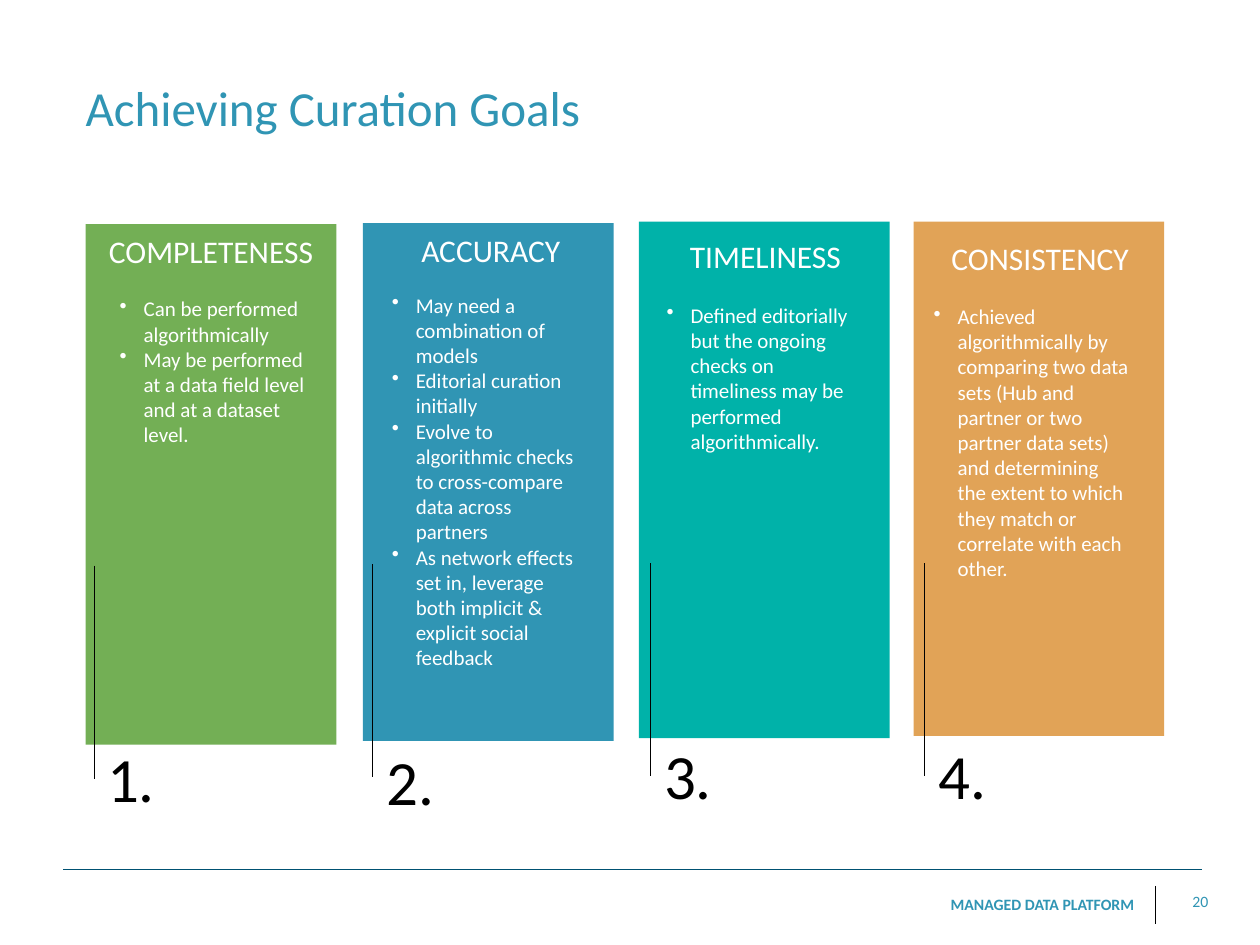
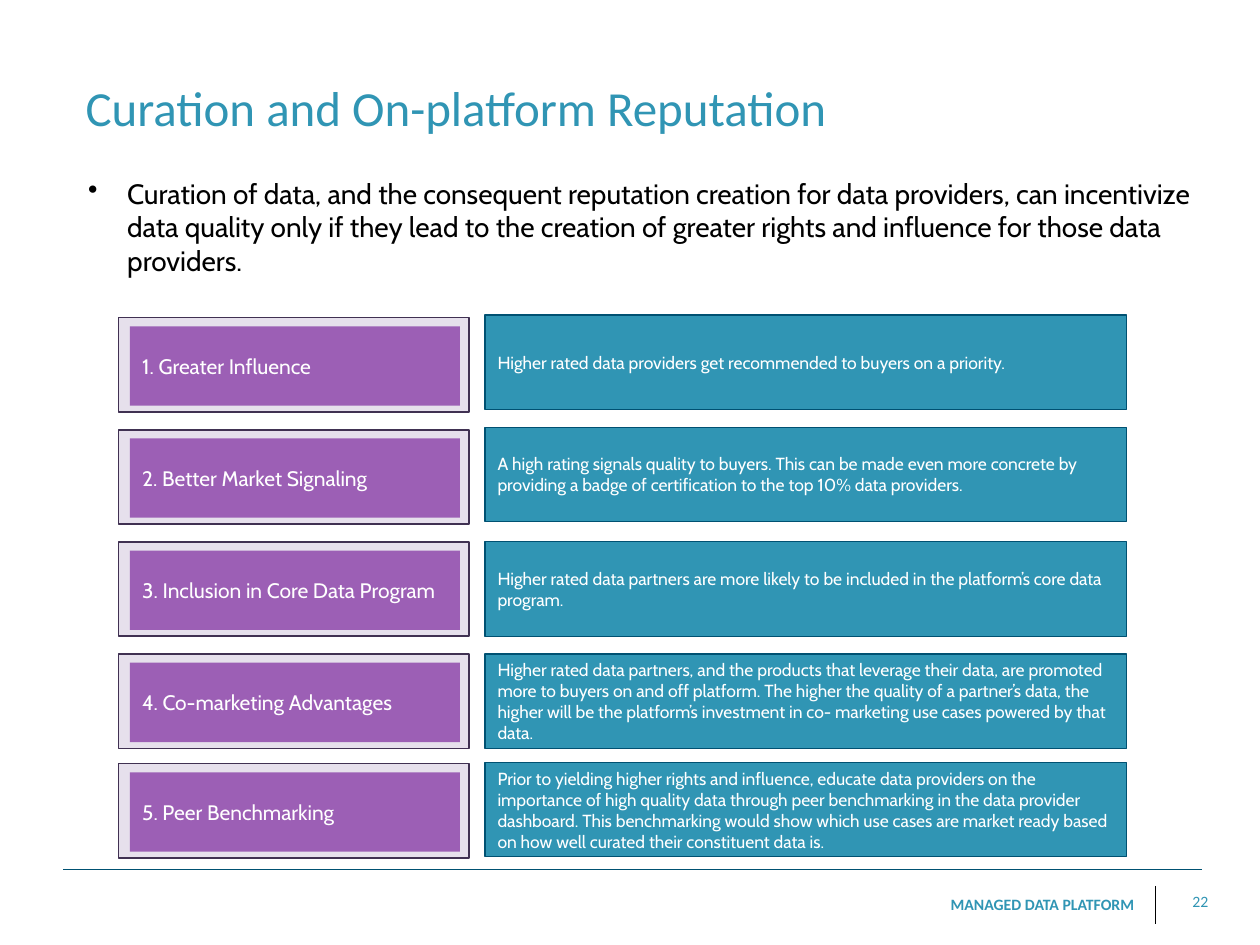
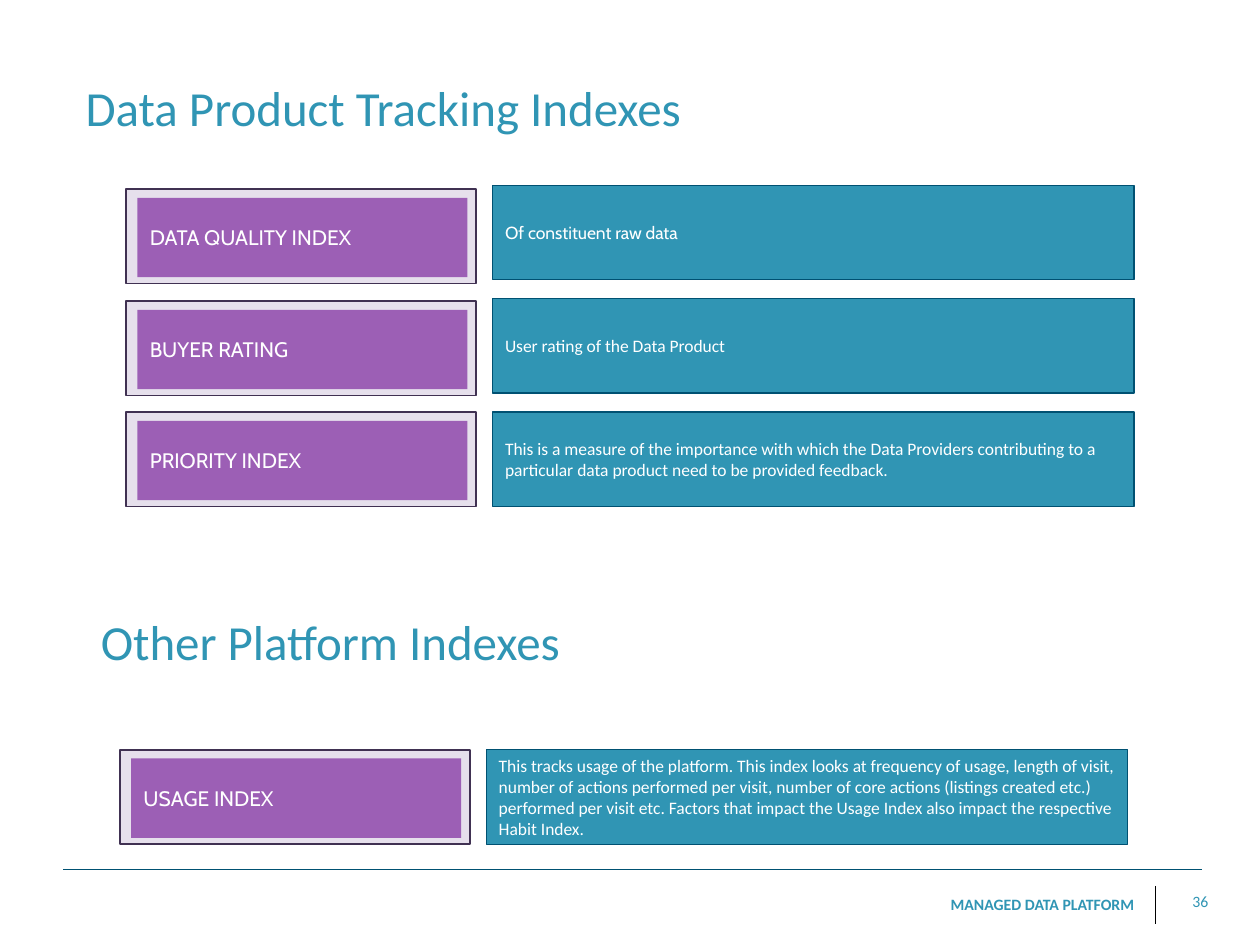
from lxml import etree
from pptx import Presentation
from pptx.dml.color import RGBColor
from pptx.enum.shapes import MSO_CONNECTOR, MSO_SHAPE
from pptx.enum.text import MSO_ANCHOR, PP_ALIGN
from pptx.oxml.ns import qn
from pptx.util import Inches, Pt

COLORS = {
    "blue": "3095B4", "navy": "005172", "green": "73AF55", "teal": "00B2A9",
    "orange": "E1A357", "purple": "9C5FB5", "lilac": "E6E0EC",
    "plum": "403152", "black": "000000", "white": "FFFFFF",
}
FOOTER = "MANAGED DATA PLATFORM"

GOALS = [
    {"color": "green", "panel": (0.68, 1.78, 4.13), "head": (0.73, 1.72),
     "body": (0.9, 2.3), "rule": (0.75, 4.49), "number": (0.8, 5.82),
     "name": "COMPLETENESS",
     "points": ["Can be performed algorithmically",
                "May be performed at a data field level and at a dataset level."]},
    {"color": "blue", "panel": (2.88, 1.77, 4.11), "head": (2.95, 1.71),
     "body": (3.06, 2.27), "rule": (2.96, 4.48), "number": (3.02, 5.84),
     "name": "ACCURACY",
     "points": ["May need a combination of models",
                "Editorial curation initially",
                "Evolve to algorithmic checks to cross-compare data across partners",
                "As network effects set in, leverage both implicit & explicit "
                "social feedback"]},
    {"color": "teal", "panel": (5.07, 1.76, 4.1), "head": (5.13, 1.76),
     "body": (5.24, 2.35), "rule": (5.16, 4.47), "number": (5.22, 5.8),
     "name": "TIMELINESS",
     "points": ["Defined editorially but the ongoing checks on timeliness may be "
                "performed algorithmically."]},
    {"color": "orange", "panel": (7.25, 1.76, 4.08), "head": (7.31, 1.78),
     "body": (7.36, 2.36), "rule": (7.34, 4.47), "number": (7.4, 5.8),
     "name": "CONSISTENCY",
     "points": ["Achieved algorithmically by comparing two data sets (Hub and "
                "partner or two partner data sets) and determining the extent to "
                "which they match or correlate with each other."]},
]

REPUTATION = (
    "Curation of data, and the consequent reputation creation for data providers, "
    "can incentivize data quality only if they lead to the creation of greater "
    "rights and influence for those data providers.")

BENEFITS = [
    (2.52, 2.5, "1. Greater Influence", "Cabin",
     "Higher rated data providers get recommended to buyers on a priority."),
    (3.41, 3.39, "2. Better Market Signaling", "Cabin",
     "A high rating signals quality to buyers. This can be made even more concrete "
     "by providing a badge of certification to the top 10% data providers."),
    (4.3, 4.3, "3. Inclusion in Core Data Program", "Cabin",
     "Higher rated data partners are more likely to be included in the platform’s "
     "core data program."),
    (5.19, 5.19, "4. Co-marketing Advantages", "Cabin",
     "Higher rated data partners, and the products that leverage their data, are "
     "promoted more to buyers on and off platform. The higher the quality of a "
     "partner’s data, the higher will be the platform’s investment in co- marketing "
     "use cases powered by that data."),
    (6.06, 6.05, "5. Peer Benchmarking", "Cabin",
     "Prior to yielding higher rights and influence, educate data providers on the "
     "importance of high quality data through peer benchmarking in the data provider "
     "dashboard. This benchmarking would show which use cases are market ready based "
     "on how well curated their constituent data is."),
]

PRODUCT_INDEXES = [
    (1.5, 1.47, "DATA QUALITY INDEX", "Cabin", "Of constituent raw data"),
    (2.39, 2.37, "BUYER RATING", "Calibri", "User rating of the Data Product"),
    (3.27, 3.27, "PRIORITY INDEX", "Calibri",
     "This is a measure of the importance with which the Data Providers contributing "
     "to a particular data product need to be provided feedback."),
]

PLATFORM_INDEXES = [
    (5.95, 5.95, "USAGE INDEX", "Calibri",
     "This tracks usage of the platform. This index looks at frequency of usage, "
     "length of visit, number of actions performed per visit, number of core actions "
     "(listings created etc.) performed per visit etc. Factors that impact the Usage "
     "Index also impact the respective Habit Index."),
]


def rgb(name):
    return RGBColor.from_string(COLORS[name])


def write(sp, lines, size=12, font="Calibri", color="white", bold=False,
          align=PP_ALIGN.LEFT, anchor=MSO_ANCHOR.TOP, inset=(0.05, 0.05), indent=0):
    tf = sp.text_frame
    tf.word_wrap = True
    tf.vertical_anchor = anchor
    tf.margin_left = tf.margin_right = Inches(inset[0])
    tf.margin_top = tf.margin_bottom = Inches(inset[1])
    for i, line in enumerate(lines):
        p = tf.paragraphs[0] if i == 0 else tf.add_paragraph()
        p.alignment = align
        if indent:
            pPr = p._p.get_or_add_pPr()
            pPr.set("marL", str(Inches(indent)))
            pPr.set("indent", str(-Inches(indent)))
            etree.SubElement(pPr, qn("a:buChar")).set("char", "•")
        r = p.add_run()
        r.text = line
        r.font.size = Pt(size)
        r.font.name = font
        r.font.bold = bold
        r.font.color.rgb = rgb(color)


def add_text(s, box, lines, **fmt):
    write(s.shapes.add_textbox(*map(Inches, box)), lines, **fmt)


def add_box(s, box, fill, line=None, width=0.75):
    sp = s.shapes.add_shape(MSO_SHAPE.RECTANGLE, *map(Inches, box))
    sp.shadow.inherit = False
    sp.fill.solid()
    sp.fill.fore_color.rgb = rgb(fill)
    if line:
        sp.line.color.rgb = rgb(line)
        sp.line.width = Pt(width)
    else:
        sp.line.fill.background()
    return sp


def add_rule(s, x1, y1, x2, y2, color="black"):
    line = s.shapes.add_connector(MSO_CONNECTOR.STRAIGHT,
                                  *map(Inches, (x1, y1, x2, y2)))
    line.line.color.rgb = rgb(color)
    line.line.width = Pt(0.5)
    etree.SubElement(line._element.spPr, qn("a:effectLst"))


def add_title(s, text, left=0.63, top=0.13):
    add_text(s, (left, top, 9, 1.44), [text], size=28, color="blue",
             anchor=MSO_ANCHOR.MIDDLE)


def add_page(prs, title, number):
    s = prs.slides.add_slide(prs.slide_layouts[6])
    add_rule(s, 0.5, 6.9, 9.54, 6.9, color="navy")
    add_rule(s, 9.17, 7.03, 9.17, 7.33)
    footer = {"size": 9, "color": "blue", "align": PP_ALIGN.RIGHT}
    add_text(s, (6.05, 7.05, 3, 0.25), [FOOTER], bold=True, **footer)
    add_text(s, (9.39, 7.03, 0.25, 0.25), [str(number)], **footer)
    add_title(s, title)
    return s


def add_goal(s, number, goal):
    left, top, height = goal["panel"]
    add_box(s, (left, top, 1.99, height), goal["color"])
    add_text(s, (*goal["head"], 1.89, 0.54), [goal["name"]], size=18,
             align=PP_ALIGN.CENTER, anchor=MSO_ANCHOR.MIDDLE)
    add_text(s, (*goal["body"], 1.65, 3), goal["points"], indent=0.19)
    x, y = goal["rule"]
    add_rule(s, x, y, x, y + 1.69)
    add_text(s, (*goal["number"], 1.65, 0.6), [f"{number}."], size=36, color="black")


def add_rows(s, left, rows):
    for frame_top, detail_top, label, font, detail in rows:
        add_box(s, (left, frame_top, 2.78, 0.75), "lilac", "plum", 1)
        tag = add_box(s, (left + 0.09, frame_top + 0.07, 2.62, 0.63), "purple")
        write(tag, [label], font="Cabin", anchor=MSO_ANCHOR.MIDDLE, inset=(0.1, 0.05))
        panel = add_box(s, (left + 2.91, detail_top, 5.09, 0.75), "blue", "navy")
        write(panel, [detail], size=10, font=font, anchor=MSO_ANCHOR.MIDDLE,
              inset=(0.1, 0.02))


def main():
    prs = Presentation()
    prs.slide_width, prs.slide_height = Inches(10), Inches(7.5)

    s = add_page(prs, "Achieving Curation Goals", 20)
    for number, goal in enumerate(GOALS, 1):
        add_goal(s, number, goal)

    s = add_page(prs, "Curation and On-platform Reputation", 22)
    add_text(s, (0.65, 1.35, 8.89, 0.89), [REPUTATION], size=16, font="Cabin",
             color="black", indent=0.31)
    add_rows(s, 0.94, BENEFITS)

    s = add_page(prs, "Data Product Tracking Indexes", 36)
    add_rows(s, 1, PRODUCT_INDEXES)
    add_title(s, "Other Platform Indexes", left=0.75, top=4.37)
    add_rows(s, 0.95, PLATFORM_INDEXES)

    prs.save("out.pptx")


if __name__ == "__main__":
    main()
